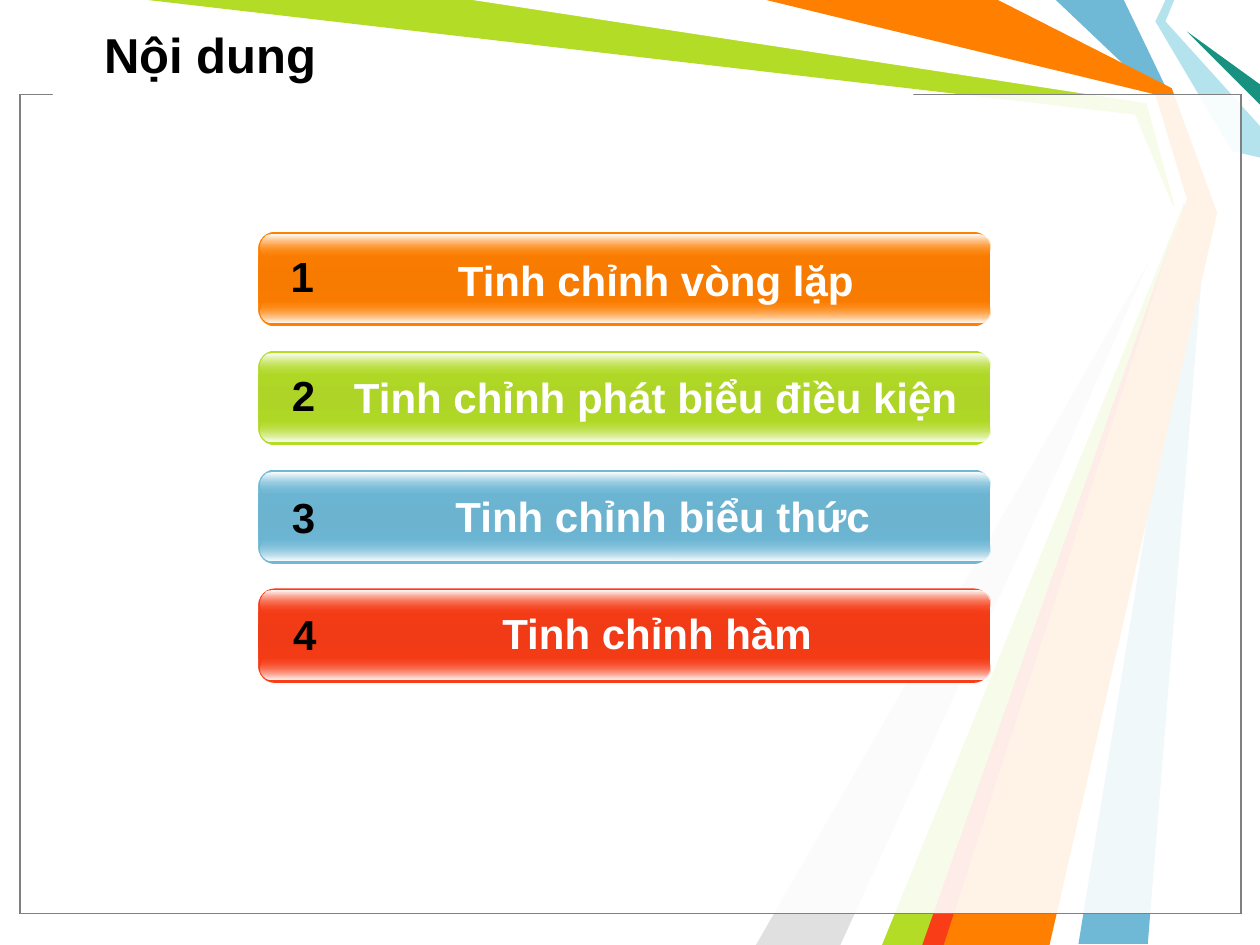
from lxml.etree import SubElement
from pptx import Presentation
from pptx.dml.color import RGBColor
from pptx.enum.shapes import MSO_SHAPE
from pptx.enum.text import MSO_ANCHOR, PP_ALIGN
from pptx.oxml.ns import qn
from pptx.util import Inches, Pt

TITLE = "Nội dung"
# number, topic, edge colour, middle colour, number (left, top), topic (left, top, width)
TOPICS = [
    ("1", "Tinh chỉnh vòng lặp", "FF7F00", "F67B00", (2.19, 1.94), (2.56, 1.97, 5.29)),
    ("2", "Tinh chỉnh phát biểu điều kiện", "B3DC27", "ADD426", (2.2, 2.88), (2.57, 2.9, 5.27)),
    ("3", "Tinh chỉnh biểu thức", "6FB9D7", "6BB3CF", (2.2, 3.85), (2.67, 3.84, 5.18)),
    ("4", "Tinh chỉnh hàm", "F93D17", "F03B16", (2.21, 4.78), (2.57, 4.77, 5.29)),
]
# Background rays: colour and outline, from back to front
RAYS = [
    ("6FB9D7", [(8.92, 0), (9.29, 0.77), (9.58, 1.67), (9.11, 7.49), (8.56, 7.49),
                (9.5, 1.67), (9.17, 0.75), (8.38, 0)]),
    ("B3DC27", [(1.17, 0), (3.83, 0), (9.14, 0.78), (9.42, 1.69), (7.42, 7.5),
                (6.92, 7.5), (9.35, 1.73), (9.01, 0.91)]),
    ("E0E0E0", [(6.67, 7.5), (9.27, 1.81), (6, 7.5)]),
    ("FFFFFF", [(3.75, 0), (9.1, 0.82), (9.32, 1.62), (6.75, 7.5), (7, 7.5),
                (9.41, 1.58), (9.17, 0.75), (6, 0)]),
    ("B4E3EE", [(9.25, 0), (9.17, 0.17), (9.78, 1.2), (10, 1.25), (10, 1),
                (9.25, 0.17), (9.32, 0)]),
    ("189180", [(10, 0.83), (9.42, 0.25), (10, 0.67)]),
    ("FF7F00", [(6.08, 0), (7.92, 0), (9.3, 0.7), (9.66, 1.69), (8.33, 7.5),
                (7.33, 7.5), (9.42, 1.58), (9.17, 0.75)]),
    ("F93D17", [(7.32, 7.5), (9.32, 1.83), (7.49, 7.5)]),
]
PANEL_LINES = ["000000", "808080"]
BAR_TOP, BAR_BOTTOM, BAR_HEIGHT = 1.84, 5.42, 0.75
BAR_STEP = (BAR_BOTTOM - BAR_HEIGHT - BAR_TOP) / (len(TOPICS) - 1)
GLOSS_OFFSETS = {"bottom": 0.54, "top": 0.02}

prs = Presentation()
prs.slide_width, prs.slide_height = Inches(10), Inches(7.5)
slide = prs.slides.add_slide(prs.slide_layouts[6])


def rgb(code):
    return RGBColor.from_string(code)


def set_alpha(color_element, percent):
    SubElement(color_element, qn("a:alpha")).set("val", str(percent * 1000))


def fill_solid(shape, color):
    shape.shadow.inherit = False
    shape.fill.solid()
    shape.fill.fore_color.rgb = rgb(color)
    shape.line.fill.background()


def add_preset(kind, left, top, width, height, color):
    shape = slide.shapes.add_shape(kind, Inches(left), Inches(top), Inches(width), Inches(height))
    fill_solid(shape, color)
    return shape


def add_gradient_bar(left, top, width, height, corner, stops):
    """Rounded bar shaded from top to bottom; stops are (position, colour, opacity)."""
    bar = add_preset(MSO_SHAPE.ROUNDED_RECTANGLE, left, top, width, height, "FFFFFF")
    bar.adjustments[0] = corner
    bar.fill.gradient()
    bar.fill.gradient_angle = 270
    stop_list = bar._element.spPr.find(".//" + qn("a:gsLst"))
    for old_stop in list(stop_list):
        stop_list.remove(old_stop)
    for position, color, opacity in stops:
        stop = SubElement(stop_list, qn("a:gs"), pos=str(position * 1000))
        color_element = SubElement(stop, qn("a:srgbClr"), val=color)
        if opacity < 100:
            set_alpha(color_element, opacity)


def add_label(text, left, top, width, height, size, color, align, anchor=MSO_ANCHOR.TOP):
    box = slide.shapes.add_textbox(Inches(left), Inches(top), Inches(width), Inches(height))
    frame = box.text_frame
    frame.word_wrap = True
    frame.vertical_anchor = anchor
    frame.text = text
    paragraph = frame.paragraphs[0]
    paragraph.alignment = align
    font = paragraph.runs[0].font
    font.name, font.size, font.bold = "Arial", Pt(size), True
    font.color.rgb = rgb(color)


# Background rays
for color, points in RAYS:
    (start_x, start_y), *rest = [(Inches(x), Inches(y)) for x, y in points]
    builder = slide.shapes.build_freeform(start_x, start_y)
    builder.add_line_segments(rest, close=True)
    fill_solid(builder.convert_to_shape(), color)

# Translucent panels, with a gap in the frame behind the title
for line_color in PANEL_LINES:
    panel = add_preset(MSO_SHAPE.RECTANGLE, 0.16, 0.75, 9.69, 6.5, "FFFFFF")
    set_alpha(panel._element.spPr.find(qn("a:solidFill"))[0], 69)
    panel.line.color.rgb = rgb(line_color)
    panel.line.width = Pt(0.75)
add_preset(MSO_SHAPE.RECTANGLE, 0.42, 0.74, 6.83, 0.17, "FFFFFF")

# Title
add_label(TITLE, 0.73, 0.08, 9.11, 0.69, 28, "000000", PP_ALIGN.LEFT, MSO_ANCHOR.MIDDLE)

# Glossy topic bars
for row, (number, topic, edge, middle, number_at, topic_at) in enumerate(TOPICS):
    top = BAR_TOP + row * BAR_STEP
    add_gradient_bar(2.05, top, 5.81, BAR_HEIGHT, 0.175,
                     [(0, edge, 100), (50, middle, 100), (100, edge, 100)])
    gloss_stops = {
        "bottom": [(0, edge, 0), (100, "FFFFFF", 100)],
        "top": [(0, "FFFFFF", 100), (100, edge, 0)],
    }
    for side, offset in GLOSS_OFFSETS.items():
        add_gradient_bar(2.07, top + offset, 5.79, 0.18, 0.5, gloss_stops[side])
    add_label(topic, *topic_at, 0.5, 24, "FFFFFF", PP_ALIGN.CENTER)
    add_label(number, *number_at, 0.42, 0.5, 24, "000000", PP_ALIGN.CENTER)

prs.save("out.pptx")
